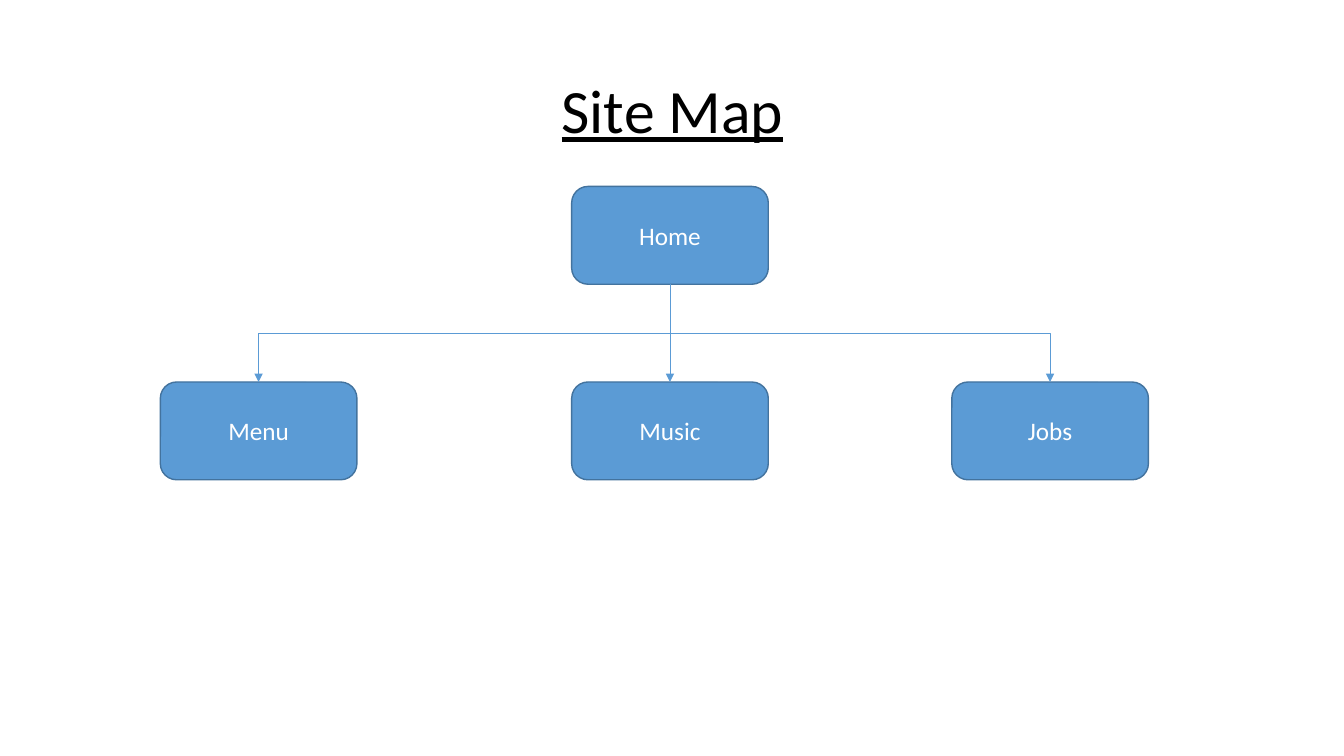
from dataclasses import dataclass

from pptx import Presentation
from pptx.dml.color import RGBColor
from pptx.enum.shapes import MSO_CONNECTOR, MSO_SHAPE
from pptx.enum.text import MSO_ANCHOR, PP_ALIGN
from pptx.oxml.ns import qn
from pptx.oxml.xmlchemy import OxmlElement
from pptx.shapes.autoshape import Shape
from pptx.shapes.connector import Connector
from pptx.slide import Slide
from pptx.util import Inches, Pt

ELBOW = MSO_CONNECTOR.ELBOW
ROUNDED = MSO_SHAPE.ROUNDED_RECTANGLE
MIDDLE = MSO_ANCHOR.MIDDLE
CENTER = PP_ALIGN.CENTER
TITLE_ONLY = 5
TOP_SIDE, BOTTOM_SIDE = 0, 2
QUARTER_TURN = 90 * 60000


@dataclass(frozen=True)
class Theme:
    font: str = "Calibri"
    title_size: float = 44
    box_size: float = 18
    outline_width: float = 1
    link_width: float = 0.5
    title_color: RGBColor = RGBColor(0x00, 0x00, 0x00)
    box_text: RGBColor = RGBColor(0xFF, 0xFF, 0xFF)
    box_fill: RGBColor = RGBColor(0x5B, 0x9B, 0xD5)
    outline: RGBColor = RGBColor(0x43, 0x73, 0x9E)


@dataclass(frozen=True)
class SitePage:
    name: str
    left: float
    top: float


THEME = Theme()
BOX_WIDTH, BOX_HEIGHT = 1.95, 0.97
HOME_TOP = 1.85
CHILD_TOP = HOME_TOP + 2 * BOX_HEIGHT
HOME = SitePage("Home", 5.67, HOME_TOP)
CHILDREN = [
    SitePage("Menu", 1.59, CHILD_TOP),
    SitePage("Music", HOME.left, CHILD_TOP),
    SitePage("Jobs", 9.44, CHILD_TOP),
]


def write_text(shape: Shape, text: str, size: float, color: RGBColor, **formats: bool) -> None:
    """Put one centred, formatted paragraph in the middle of the shape."""
    frame = shape.text_frame
    frame.word_wrap = True
    frame.vertical_anchor = MIDDLE
    para = frame.paragraphs[0]
    para.alignment = CENTER
    span = para.add_run()
    span.text = text
    span.font.color.rgb = color
    for name, value in {"name": THEME.font, "size": Pt(size), **formats}.items():
        setattr(span.font, name, value)


def add_title(page: Slide, text: str) -> None:
    title = page.shapes.title
    place = {"left": 0.92, "top": 0.4, "width": 11.5, "height": 1.45}
    for name, value in place.items():
        setattr(title, name, Inches(value))
    write_text(title, text, THEME.title_size, THEME.title_color, underline=True)
    title.text_frame.paragraphs[0].line_spacing = 0.9


def add_box(page: Slide, site_page: SitePage) -> Shape:
    box = page.shapes.add_shape(
        ROUNDED, Inches(site_page.left), Inches(site_page.top),
        Inches(BOX_WIDTH), Inches(BOX_HEIGHT),
    )
    box.shadow.inherit = False
    box.fill.solid()
    box.fill.fore_color.rgb = THEME.box_fill
    box.line.color.rgb = THEME.outline
    box.line.width = Pt(THEME.outline_width)
    write_text(box, site_page.name, THEME.box_size, THEME.box_text)
    return box


def turn_downward(link: Connector) -> None:
    """Rotate an elbow so that it leaves and arrives vertically."""
    run = link.end_x - link.begin_x
    drop = link.end_y - link.begin_y
    center_x = (link.begin_x + link.end_x) // 2
    center_y = (link.begin_y + link.end_y) // 2
    goes_right = run > 0
    frame = {
        "left": center_x - drop // 2, "top": center_y - abs(run) // 2,
        "width": drop, "height": abs(run),
    }
    for name, value in frame.items():
        setattr(link, name, value)
    turn = {
        "rot": QUARTER_TURN * (3 if goes_right else 1),
        "flipH": int(goes_right), "flipV": 0,
    }
    for name, value in turn.items():
        link._element.spPr.find(qn("a:xfrm")).set(name, str(value))


def add_link(page: Slide, parent: Shape, child: Shape) -> None:
    link = page.shapes.add_connector(ELBOW, 0, 0, 0, 0)
    link.begin_connect(parent, BOTTOM_SIDE)
    link.end_connect(child, TOP_SIDE)
    turn_downward(link)
    link.line.color.rgb = THEME.box_fill
    link.line.width = Pt(THEME.link_width)
    properties = link._element.spPr
    arrowhead = OxmlElement("a:tailEnd")
    arrowhead.set("type", "triangle")
    properties.find(qn("a:ln")).append(arrowhead)
    properties.append(OxmlElement("a:effectLst"))


def main() -> None:
    deck = Presentation()
    deck.slide_width, deck.slide_height = Inches(13.33), Inches(7.5)
    page = deck.slides.add_slide(deck.slide_layouts[TITLE_ONLY])
    add_title(page, "Site Map")
    home = add_box(page, HOME)
    for child in [add_box(page, site_page) for site_page in CHILDREN]:
        add_link(page, home, child)
    deck.save("out.pptx")


if __name__ == "__main__":
    main()
